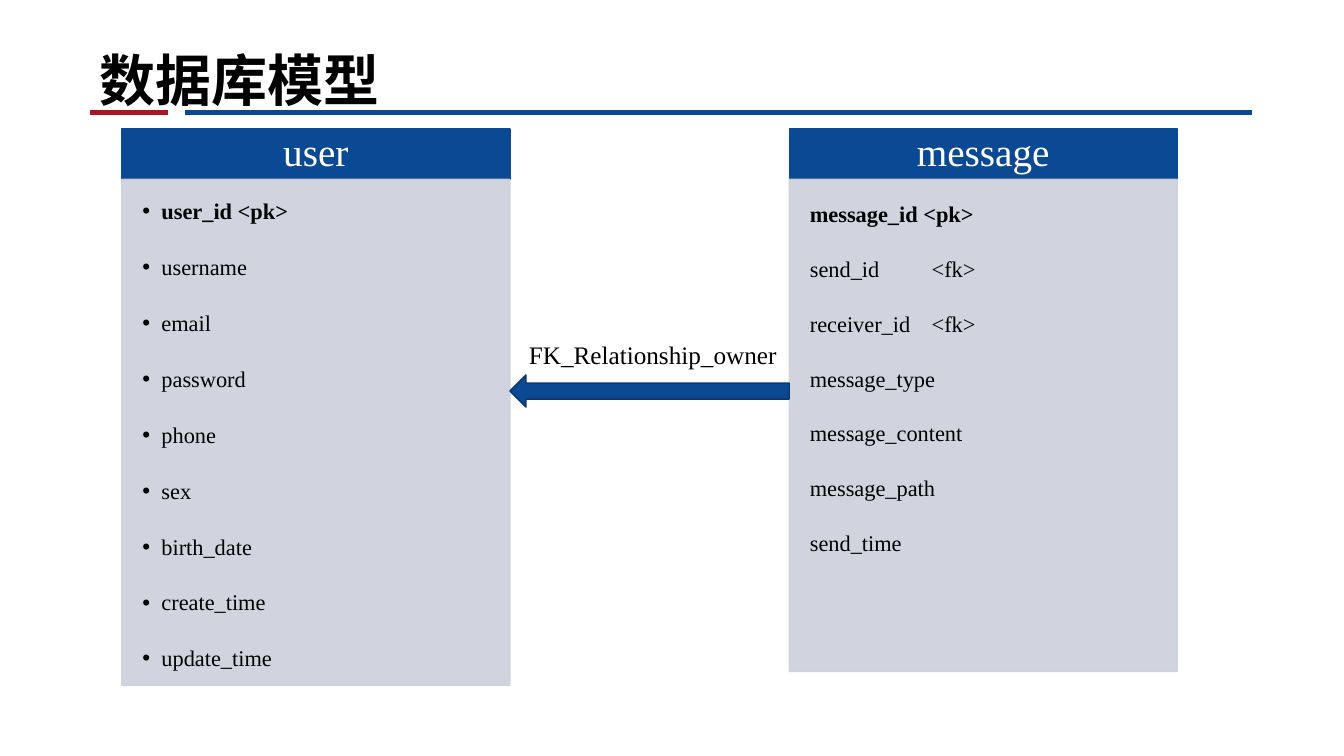
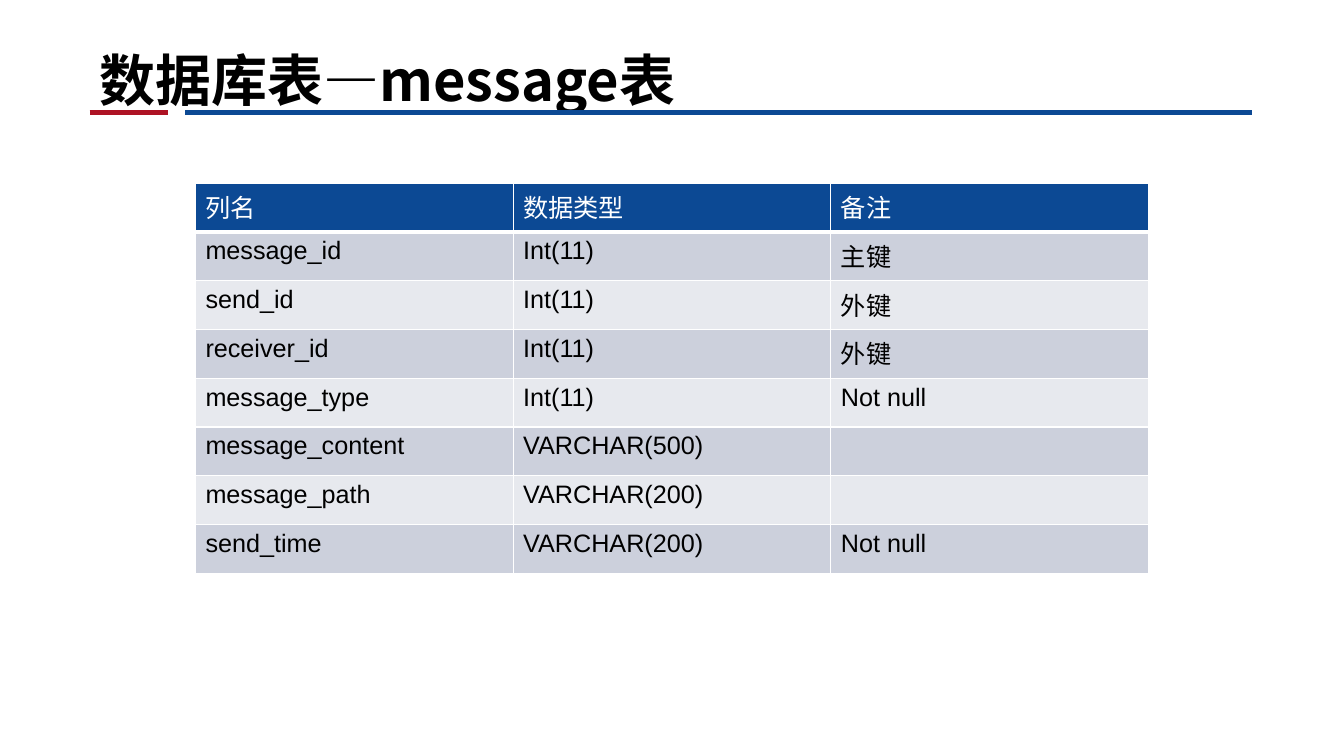
from dataclasses import dataclass

from lxml import etree
from pptx import Presentation
from pptx.dml.color import RGBColor
from pptx.enum.shapes import MSO_CONNECTOR, MSO_SHAPE
from pptx.enum.text import MSO_ANCHOR, MSO_AUTO_SIZE, PP_ALIGN
from pptx.oxml.ns import qn
from pptx.util import Cm, Pt

RECT, ARROW = MSO_SHAPE.RECTANGLE, MSO_SHAPE.LEFT_ARROW
LINE = MSO_CONNECTOR.STRAIGHT
TOP, MIDDLE, BOTTOM = MSO_ANCHOR.TOP, MSO_ANCHOR.MIDDLE, MSO_ANCHOR.BOTTOM
LEFT, CENTER = PP_ALIGN.LEFT, PP_ALIGN.CENTER
NO_FIT = MSO_AUTO_SIZE.NONE


@dataclass(frozen=True)
class Theme:
    """Colours, fonts and type sizes of the deck."""
    blue: str = "0C4994"
    navy: str = "09366D"
    red: str = "AE1324"
    grey: str = "CCD0DC"
    pale: str = "E7E9EE"
    black: str = "000000"
    white: str = "FFFFFF"
    han: str = "Noto Sans CJK SC"
    serif: str = "Times New Roman"
    sans: str = "Arial"
    title: int = 40
    head: int = 28
    body: int = 18
    field: int = 16


T = Theme()
WIDTH, HEIGHT = 33.87, 19.05
EDGE, RULE = 2.26, 2.84


def rgb(tone):
    """Turn a hex string into a colour."""
    return RGBColor.from_string(tone)


def style(para, size, tone, face, bold=False):
    """Format every run of a paragraph."""
    for run in para.runs:
        font = run.font
        font.size, font.bold, font.name = Pt(size), bold, face
        font.color.rgb = rgb(tone)
        east = etree.SubElement(run._r.get_or_add_rPr(), qn("a:ea"))
        east.set("typeface", T.han)


def block(slide, kind, box, fill, edge, alpha=None):
    """Add a filled preset shape; box is left, top, width, height in cm."""
    shape = slide.shapes.add_shape(kind, *map(Cm, box))
    shape.shadow.inherit = False
    shape.fill.solid()
    shape.fill.fore_color.rgb = rgb(fill)
    shape.line.color.rgb = rgb(edge)
    shape.line.width = Pt(1)
    if alpha:
        for tone in shape._element.spPr.iter(qn("a:srgbClr")):
            etree.SubElement(tone, qn("a:alpha")).set("val", str(alpha * 1000))
    return shape


def rule(slide, start, end, tone):
    """Draw one piece of the line below the title."""
    line = slide.shapes.add_connector(
        LINE, Cm(start), Cm(RULE), Cm(end), Cm(RULE))
    line.line.color.rgb = rgb(tone)
    line.line.width = Pt(3.5)
    etree.SubElement(line._element.spPr, qn("a:effectLst"))


def page(deck, text):
    """Add a slide with its title and the two-tone rule."""
    slide = deck.slides.add_slide(deck.slide_layouts[5])
    rule(slide, EDGE, 4.24, T.red)
    rule(slide, 4.67, 31.55, T.blue)
    title = slide.shapes.title
    title.left, title.top = Cm(EDGE), Cm(0)
    title.width, title.height = Cm(31.55 - EDGE), Cm(RULE)
    frame = title.text_frame
    frame.text = text
    frame.auto_size = NO_FIT
    frame.vertical_anchor = BOTTOM
    frame.margin_bottom = 0
    para = frame.paragraphs[0]
    para.alignment = LEFT
    style(para, T.title, T.black, T.han, True)
    return slide


def bullet(para):
    """Give a paragraph a hanging round bullet."""
    props = para._p.get_or_add_pPr()
    props.set("marL", str(Cm(0.48)))
    props.set("indent", str(-Cm(0.48)))
    etree.SubElement(props, qn("a:buFont")).set("typeface", T.sans)
    etree.SubElement(props, qn("a:buChar")).set("char", "•")


def tab(para, place):
    """Set one left tab stop."""
    stops = etree.SubElement(para._p.get_or_add_pPr(), qn("a:tabLst"))
    stop = etree.SubElement(stops, qn("a:tab"))
    stop.set("pos", str(Cm(place)))
    stop.set("algn", "l")


def entity(slide, box, name, fields, dots=False):
    """Draw an entity: a header band over its list of fields, key first."""
    left, top, width, height = box
    band = 1.27
    head = block(slide, RECT, (left, top, width, band), T.blue, T.blue)
    head.text_frame.text = name
    head.text_frame.vertical_anchor = MIDDLE
    para = head.text_frame.paragraphs[0]
    para.alignment, para.line_spacing = CENTER, 0.9
    style(para, T.head, T.white, T.serif)

    area = (left, top + band, width, height - band)
    frame = block(slide, RECT, area, T.grey, T.grey, 90).text_frame
    frame.margin_left = frame.margin_top = Cm(0.52)
    frame.vertical_anchor = TOP
    frame.word_wrap = True
    frame.text = "\n".join(fields)
    for i, para in enumerate(frame.paragraphs):
        para.alignment = LEFT
        para.line_spacing = 0.9 if dots else 1.0
        para.space_after = Pt(22.7 if dots else 20)
        if dots:
            bullet(para)
        elif "\t" in fields[i]:
            tab(para, 3.07)
        style(para, T.field, T.black, T.serif, i == 0)


def link(slide, box, text):
    """Draw a labelled left arrow along the bottom of its box."""
    left, top, width, height = box
    thick = 0.81
    block(slide, ARROW, (left, top + height - thick, width, thick),
          T.blue, T.navy)
    label = slide.shapes.add_textbox(
        Cm(left + 0.23), Cm(top), Cm(width - 0.23), Cm(height - thick))
    label.text_frame.word_wrap = False
    label.text_frame.text = text
    style(label.text_frame.paragraphs[0], T.body, T.black, T.serif)


def border(cell, head):
    """Line a cell in white, with a heavier base under the header."""
    props = cell._tc.get_or_add_tcPr()
    for side in "LRTB":
        line = etree.SubElement(props, qn("a:ln" + side))
        line.set("w", str(Pt(3 if head and side == "B" else 1)))
        fill = etree.SubElement(line, qn("a:solidFill"))
        etree.SubElement(fill, qn("a:srgbClr")).set("val", T.white)


def grid(slide, box, rows):
    """Draw a banded table with a header row."""
    table = slide.shapes.add_table(
        len(rows), len(rows[0]), *map(Cm, box)).table
    for i, row in enumerate(rows):
        fill = T.blue if i == 0 else T.grey if i % 2 else T.pale
        for j, text in enumerate(row):
            cell = table.cell(i, j)
            border(cell, i == 0)
            cell.fill.solid()
            cell.fill.fore_color.rgb = rgb(fill)
            cell.text = text
            style(cell.text_frame.paragraphs[0], T.body,
                  T.black if i else T.white, T.sans)


def model(deck):
    """Build the slide with the two linked entities."""
    slide = page(deck, "数据库模型")
    top, width, user, note = 3.25, 9.78, 3.07, 19.89
    entity(slide, (user, top, width, 14.02), "user",
           ["user_id <pk>", "username", "email", "password", "phone", "sex",
            "birth_date", "create_time", "update_time"], True)
    entity(slide, (note, top, width, 13.67), "message",
           ["message_id <pk>", "send_id\t<fk>", "receiver_id\t<fk>",
            "message_type", "message_content", "message_path", "send_time"])
    start = user + width
    link(slide, (start, 8.43, note - start, 1.83), "FK_Relationship_owner")


def schema(deck):
    """Build the slide with the columns of the message table."""
    slide = page(deck, "数据库表—message表")
    rows = [
        ("列名", "数据类型", "备注"),
        ("message_id", "Int(11)", "主键"),
        ("send_id", "Int(11)", "外键"),
        ("receiver_id", "Int(11)", "外键"),
        ("message_type", "Int(11)", "Not null"),
        ("message_content", "VARCHAR(500)", ""),
        ("message_path", "VARCHAR(200)", ""),
        ("send_time", "VARCHAR(200)", "Not null"),
    ]
    width = 24.02
    grid(slide, ((WIDTH - width) / 2, 4.62, width, 9.83), rows)


def main():
    """Build and save the deck."""
    deck = Presentation()
    deck.slide_width, deck.slide_height = Cm(WIDTH), Cm(HEIGHT)
    model(deck)
    schema(deck)
    deck.save("out.pptx")


main()
